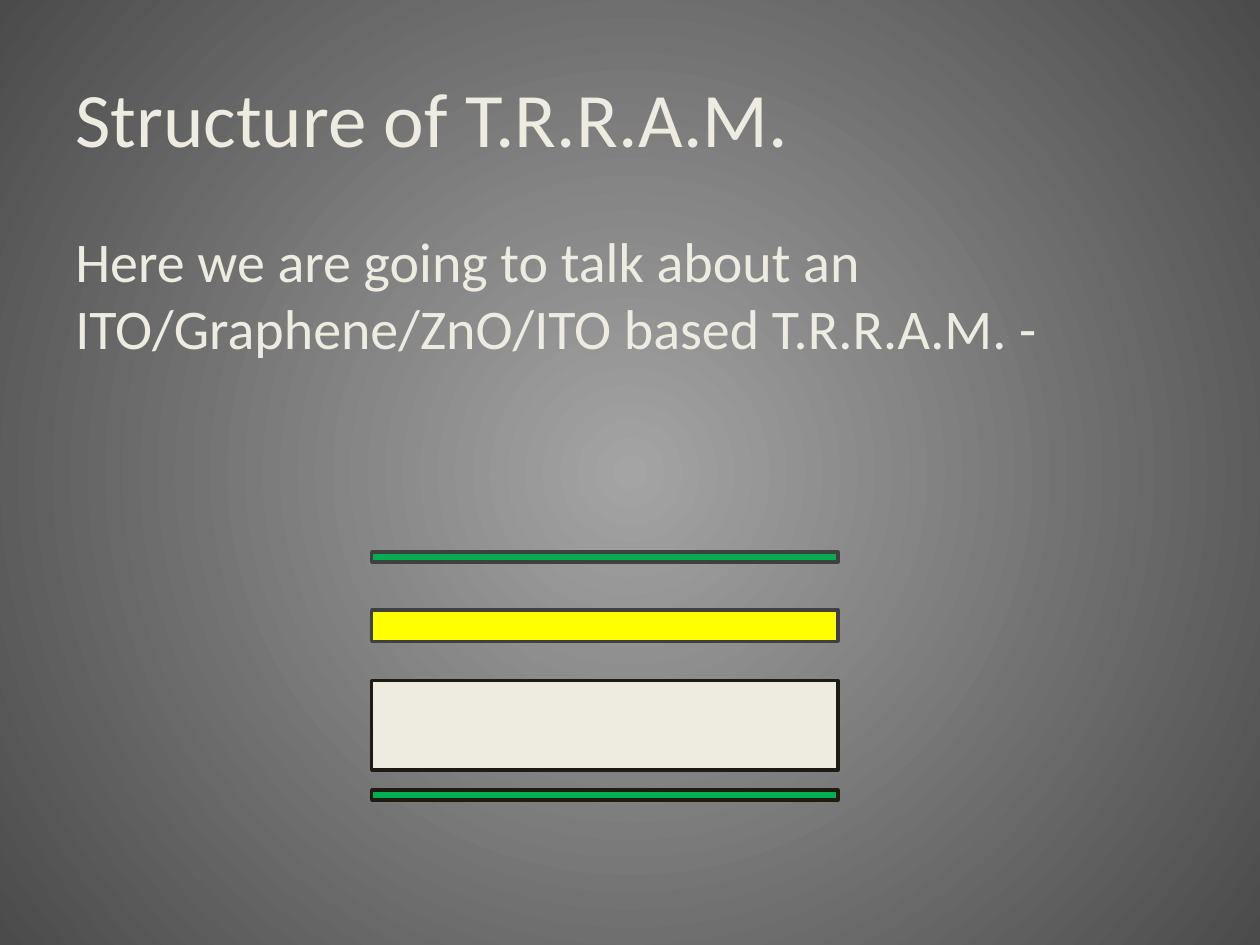
from lxml import etree
from pptx import Presentation
from pptx.dml.color import RGBColor
from pptx.enum.shapes import MSO_SHAPE
from pptx.enum.text import MSO_ANCHOR
from pptx.oxml.ns import qn
from pptx.util import Inches, Pt

RECTANGLE = MSO_SHAPE.RECTANGLE
TOP, MIDDLE = MSO_ANCHOR.TOP, MSO_ANCHOR.MIDDLE

CENTER_GREY = RGBColor(0xA4, 0xA4, 0xA4)
EDGE_GREY = RGBColor(0x4B, 0x4B, 0x4B)
CREAM = RGBColor(0xEE, 0xEC, 0xE1)
GREEN = RGBColor(0x00, 0xB0, 0x50)
YELLOW = RGBColor(0xFF, 0xFF, 0x00)
DARK_GREY = RGBColor(0x40, 0x40, 0x40)
DARK_BROWN = RGBColor(0x1E, 0x1C, 0x11)

# Content: text, top, height, size, anchor, space before
TEXTS = [
    ("Structure of T.R.R.A.M.", 0.3, 1.25, 44, MIDDLE, 0),
    ("Here we are going to talk about an ITO/Graphene/ZnO/ITO based T.R.R.A.M. -",
     1.75, 1.45, 32, TOP, 6.4),
]
TEXT_LEFT, TEXT_WIDTH = 0.5, 9

# Device layers from top to bottom: top, height, fill, outline
LAYERS = [
    (4.38, 0.08, GREEN, DARK_GREY),
    (4.84, 0.25, YELLOW, DARK_GREY),
    (5.4, 0.71, CREAM, DARK_BROWN),
    (6.27, 0.08, GREEN, DARK_BROWN),
]
LAYER_LEFT, LAYER_WIDTH = 2.95, 3.7


def set_radial_background(slide):
    fill = slide.background.fill
    fill.gradient()
    for stop, color in zip(fill.gradient_stops, (CENTER_GREY, EDGE_GREY)):
        stop.color.rgb = color
    # Turn the linear gradient into a circle around the slide centre
    linear = slide.element.find(".//" + qn("a:lin"))
    circle = etree.Element(qn("a:path"), {"path": "circle"})
    sides = {side: "50000" for side in "ltrb"}
    etree.SubElement(circle, qn("a:fillToRect"), sides)
    linear.getparent().replace(linear, circle)


def add_text(slide, text, top, height, size, anchor, space_before):
    box = slide.shapes.add_textbox(Inches(TEXT_LEFT), Inches(top),
                                   Inches(TEXT_WIDTH), Inches(height))
    frame = box.text_frame
    frame.word_wrap = True
    frame.vertical_anchor = anchor
    frame.text = text
    paragraph = frame.paragraphs[0]
    paragraph.space_before = Pt(space_before)
    font = paragraph.runs[0].font
    font.name = "Calibri"
    font.size = Pt(size)
    font.color.rgb = CREAM


def add_layer(slide, top, height, fill, outline):
    layer = slide.shapes.add_shape(RECTANGLE, Inches(LAYER_LEFT), Inches(top),
                                   Inches(LAYER_WIDTH), Inches(height))
    layer.shadow.inherit = False
    layer.fill.solid()
    layer.fill.fore_color.rgb = fill
    layer.line.color.rgb = outline
    layer.line.width = Pt(2)


def main():
    presentation = Presentation()
    presentation.slide_width = Inches(10)
    presentation.slide_height = Inches(7.5)
    slide = presentation.slides.add_slide(presentation.slide_layouts[6])
    set_radial_background(slide)
    for text in TEXTS:
        add_text(slide, *text)
    for layer in LAYERS:
        add_layer(slide, *layer)
    presentation.save("out.pptx")


if __name__ == "__main__":
    main()
